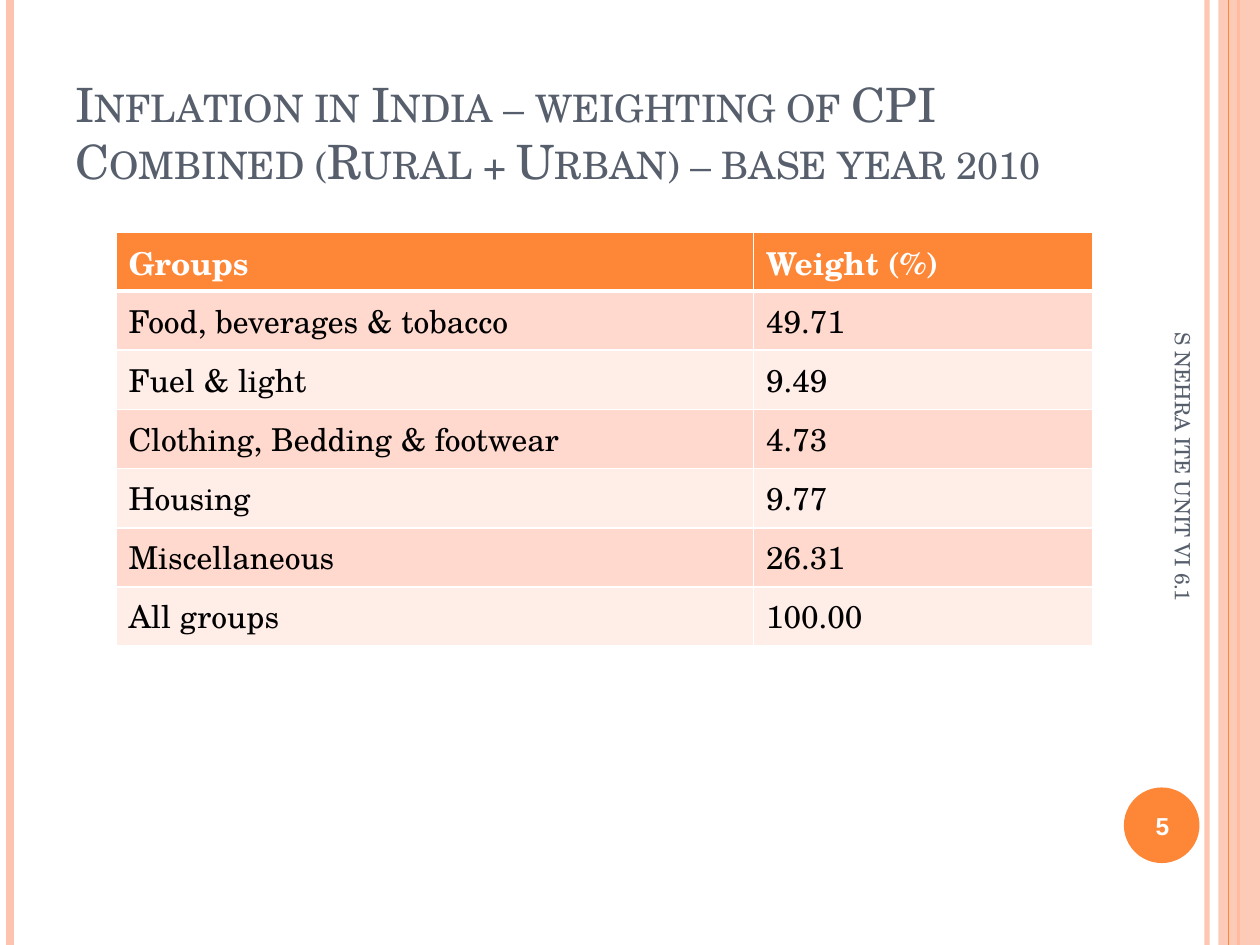
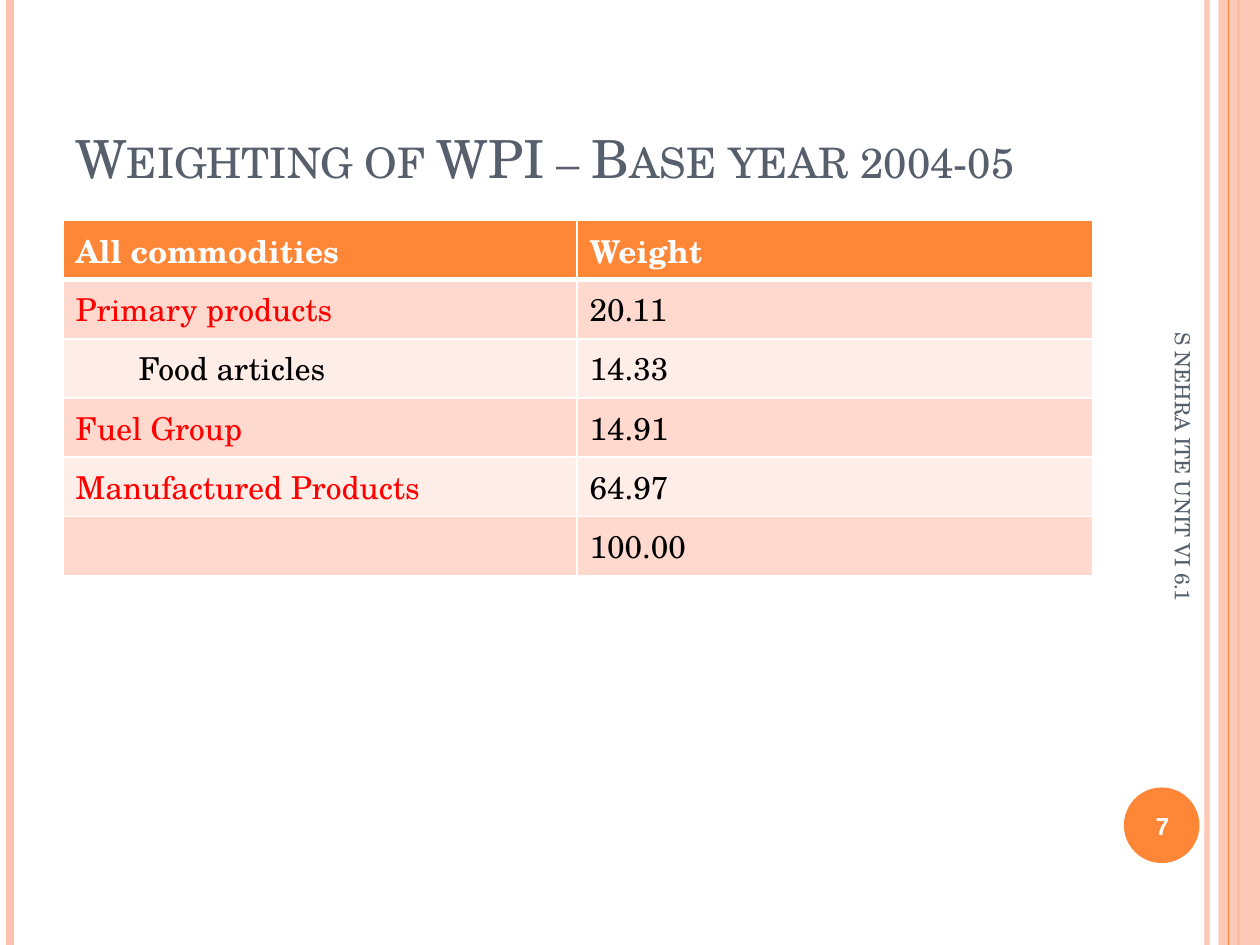
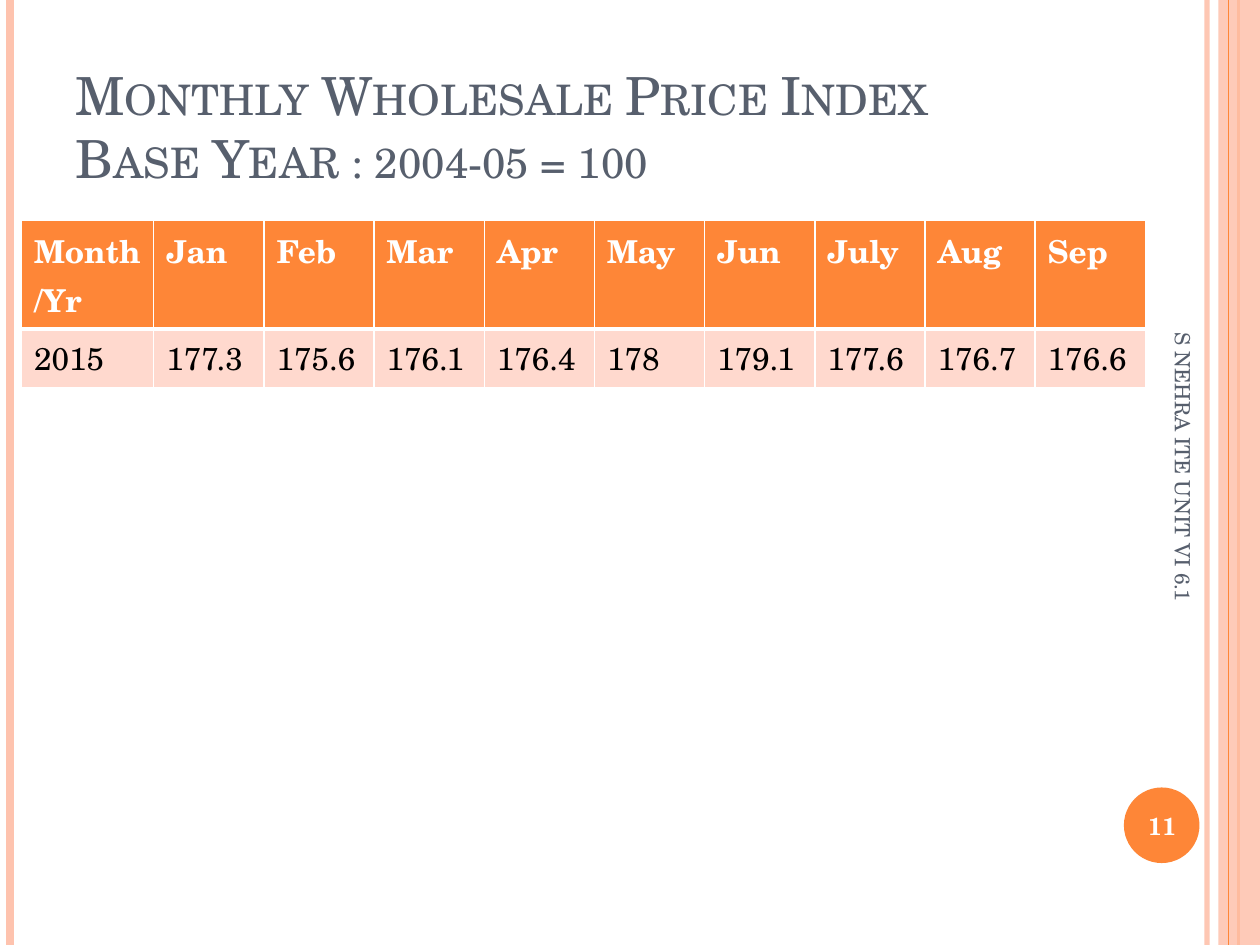
from lxml.etree import SubElement
from pptx import Presentation
from pptx.dml.color import RGBColor
from pptx.enum.shapes import MSO_CONNECTOR as Connector, MSO_SHAPE as Shape
from pptx.enum.text import MSO_ANCHOR as Anchor, PP_ALIGN as Align
from pptx.oxml.ns import qn
from pptx.util import Inches, Pt

WIDTH, HEIGHT = 10, 7.5
SERIF, SANS = "TeX Gyre Schola", "Arial"
ORANGE, PEACH, SLATE = "FE8637", "FEC3AE", "575F6D"
WHITE, BLACK, RED = "FFFFFF", "000000", "FF0000"
BANDS = ["FFD9CE", "FFEDE8"]
ROW_HEIGHT, TWO_LINE_HEIGHT = 0.47, 0.86
FOOTER = "S NEHRA ITE UNIT VI 6.1"

RULES_BEHIND = [(9.58, PEACH, 3, 93), (0.08, PEACH, 4.5, 100), (9.83, ORANGE, 1.5, 100)]
RULES_IN_FRONT = [(9.75, ORANGE, 0.75, 100)]

SLIDES = [
    {
        "title": "Inflation in India – weighting of CPI Combined (Rural + Urban) – base year 2010",
        "title_size": 27,
        "number": "5", "number_font": SANS,
        "table_at": (0.92, 1.84), "table_width": 7.75, "first_column": 5.06,
        "header_height": ROW_HEIGHT,
        "rows": [
            ("Groups", "Weight (%)"),
            ("Food, beverages & tobacco", "49.71"),
            ("Fuel & light", "9.49"),
            ("Clothing, Bedding & footwear", "4.73"),
            ("Housing", "9.77"),
            ("Miscellaneous", "26.31"),
            ("All groups", "100.00"),
        ],
    },
    {
        "title": "Weighting of WPI – Base year 2004-05",
        "title_size": 30,
        "number": "7", "number_font": SANS,
        "table_at": (0.5, 1.75), "table_width": 8.17, "first_column": 4.08,
        "header_height": ROW_HEIGHT,
        "rows": [
            ("All commodities", "Weight"),
            ("Primary products", "20.11"),
            ("Food articles", "14.33"),
            ("Fuel Group", "14.91"),
            ("Manufactured Products", "64.97"),
            ("", "100.00"),
        ],
        "main_groups": {"Primary products", "Fuel Group", "Manufactured Products"},
        "subgroups": {"Food articles"},
    },
    {
        "title": "Monthly Wholesale Price Index\nBase Year : 2004-05 = 100",
        "title_size": 30,
        "number": "11", "number_font": SERIF,
        "table_at": (0.17, 1.75), "table_width": 8.92, "first_column": 1.05,
        "header_height": TWO_LINE_HEIGHT,
        "rows": [
            ("Month/Yr", "Jan", "Feb", "Mar", "Apr", "May", "Jun", "July", "Aug", "Sep"),
            ("2015", "177.3", "175.6", "176.1", "176.4", "178", "179.1", "177.6", "176.7", "176.6"),
        ],
    },
]


def paint(fill, color, opacity=100):
    fill.solid()
    fill.fore_color.rgb = RGBColor.from_string(color)
    if opacity < 100:
        tint = fill._xPr.find(qn("a:solidFill"))[0]
        SubElement(tint, qn("a:alpha"), val=str(opacity * 1000))


def style(paragraph, size, color, font=SERIF, bold=False):
    paragraph.font.size = Pt(size)
    paragraph.font.name = font
    paragraph.font.bold = bold
    paragraph.font.color.rgb = RGBColor.from_string(color)


def add_text(slide, text, box, anchor, size, color, **font):
    frame_shape = slide.shapes.add_textbox(*map(Inches, box))
    frame = frame_shape.text_frame
    frame.word_wrap = True
    frame.vertical_anchor = anchor
    paragraph = frame.paragraphs[0]
    paragraph.text = text
    style(paragraph, size, color, **font)
    return frame_shape, paragraph


def add_rules(slide, rules):
    for x, color, weight, opacity in rules:
        rule = slide.shapes.add_connector(
            Connector.STRAIGHT, Inches(x), 0, Inches(x), Inches(HEIGHT))
        rule.line.width = Pt(weight)
        paint(rule.line.fill, color, opacity)
        SubElement(rule._element.spPr, qn("a:effectLst"))


def add_block(slide, preset, box, color, opacity=100):
    block = slide.shapes.add_shape(preset, *map(Inches, box))
    block.shadow.inherit = False
    block.line.fill.background()
    paint(block.fill, color, opacity)


def add_frame(slide):
    add_rules(slide, RULES_BEHIND)
    add_block(slide, Shape.RECTANGLE, (9.67, 0, WIDTH - 9.67, HEIGHT), PEACH, 87)
    add_rules(slide, RULES_IN_FRONT)
    add_block(slide, Shape.OVAL, (8.92, 6.25, 0.6, 0.6), ORANGE)


def add_title(slide, text, size):
    _, title = add_text(slide, text, (0.5, 0.3, 8.17, 1.25), Anchor.BOTTOM, size, SLATE)
    for run in title.runs:
        run._r.get_or_add_rPr().set("cap", "small")


def add_footer(slide, number, font):
    _, page = add_text(slide, number, (8.89, 6.27, 0.67, 0.57), Anchor.MIDDLE,
                       14, WHITE, font=font, bold=True)
    page.alignment = Align.CENTER
    footer, _ = add_text(slide, FOOTER, (7.64, 4.09, 3.5, 0.4), Anchor.MIDDLE, 12, SLATE)
    footer.rotation = 90


def add_borders(cell, top, bottom):
    properties = cell._tc.get_or_add_tcPr()
    for side, weight in (("L", 1), ("R", 1), ("T", top), ("B", bottom)):
        border = SubElement(properties, qn(f"a:ln{side}"), w=str(Pt(weight)))
        SubElement(SubElement(border, qn("a:solidFill")), qn("a:srgbClr"), val=WHITE)


def add_weights(slide, content):
    rows, width, first = content["rows"], content["table_width"], content["first_column"]
    columns = len(rows[0])
    left, top = content["table_at"]
    heights = [content["header_height"]] + [ROW_HEIGHT] * (len(rows) - 1)
    table = slide.shapes.add_table(
        len(rows), columns, Inches(left), Inches(top),
        Inches(width), Inches(sum(heights))).table
    table.horz_banding = False
    for c, column in enumerate(table.columns):
        column.width = Inches((width - first) / (columns - 1) if c else first)
    for r, row in enumerate(rows):
        table.rows[r].height = Inches(heights[r])
        header = r == 0
        for c, text in enumerate(row):
            cell = table.cell(r, c)
            add_borders(cell, 3 if r == 1 else 1, 3 if header else 1)
            paint(cell.fill, ORANGE if header else BANDS[(r - 1) % 2])
            entry = cell.text_frame.paragraphs[0]
            entry.text = text
            if text in content.get("subgroups", ()):
                entry.level = 1
                entry._p.get_or_add_pPr().set("marL", str(Inches(0.5)))
            main_group = text in content.get("main_groups", ())
            style(entry, 18, WHITE if header else RED if main_group else BLACK, bold=header)


def main():
    deck = Presentation()
    deck.slide_width, deck.slide_height = Inches(WIDTH), Inches(HEIGHT)
    for content in SLIDES:
        slide = deck.slides.add_slide(deck.slide_layouts[6])
        add_frame(slide)
        add_title(slide, content["title"], content["title_size"])
        add_weights(slide, content)
        add_footer(slide, content["number"], content["number_font"])
    deck.save("out.pptx")


if __name__ == "__main__":
    main()
